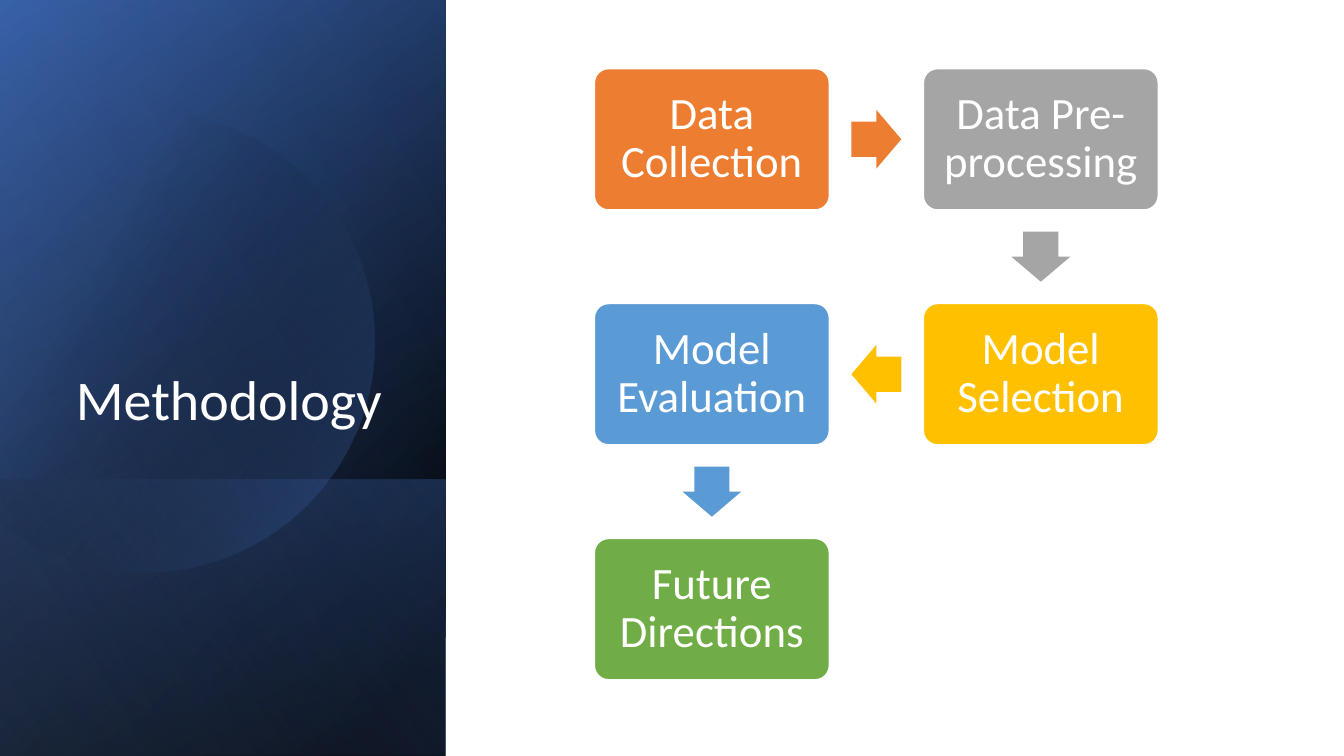
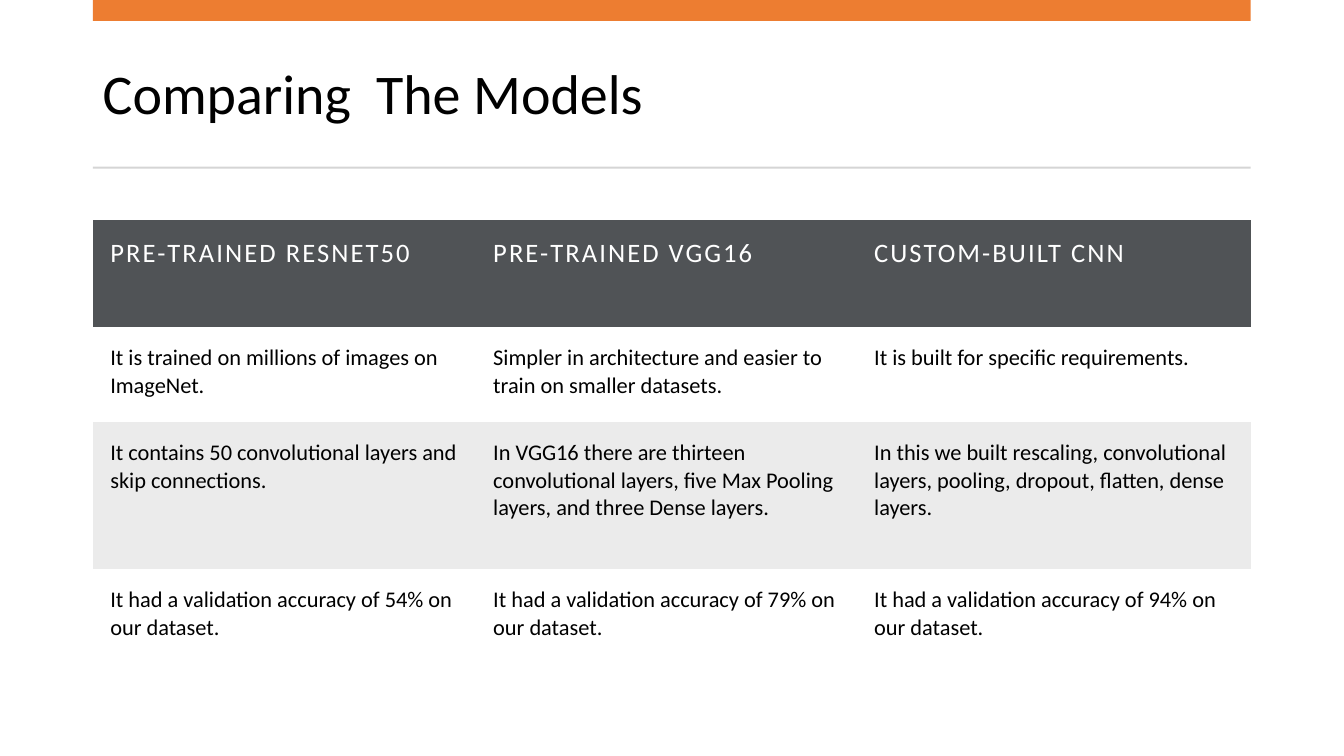
import math

from lxml import etree
from pptx import Presentation
from pptx.dml.color import RGBColor
from pptx.enum.shapes import MSO_SHAPE
from pptx.enum.text import MSO_ANCHOR, PP_ALIGN
from pptx.oxml.ns import qn
from pptx.util import Cm, Pt

RECTANGLE = MSO_SHAPE.RECTANGLE
ROUNDED = MSO_SHAPE.ROUNDED_RECTANGLE
ARROW = MSO_SHAPE.RIGHT_ARROW
LEFT, CENTER, RIGHT = PP_ALIGN.LEFT, PP_ALIGN.CENTER, PP_ALIGN.RIGHT
TOP, MIDDLE, BOTTOM = MSO_ANCHOR.TOP, MSO_ANCHOR.MIDDLE, MSO_ANCHOR.BOTTOM

FONT = "Calibri"
TITLE_SIZE = 40
PLAIN_TABLE = "{2D5ABB26-0587-4C30-8999-92F81FD0307C}"
COLORS = {
    "white": "FFFFFF",
    "black": "000000",
    "navy": "2F5597",
    "blue": "4472C4",
    "pale": "8FAADC",
    "orange": "ED7D31",
    "gray": "A5A5A5",
    "gold": "FFC000",
    "sky": "5B9BD5",
    "green": "70AD47",
    "rule": "D5D5D5",
    "header": "505356",
    "stripe": "EBEBEB",
}

SLIDE_WIDTH, SLIDE_HEIGHT = 33.87, 19.05
PANEL_WIDTH = 11.23
FOOT_HEIGHT = 6.96
PANEL_BASE = [
    (SLIDE_HEIGHT, 50, [(8, "black", 100), (100, "navy", 100)]),
    (SLIDE_HEIGHT, 30, [(0, "black", 0), (99, "blue", 46)]),
    (FOOT_HEIGHT, 130, [(2, "blue", 29), (100, "black", 30)]),
]
PANEL_GLAZE = (SLIDE_HEIGHT, 120, [(0, "black", 0), (99, "pale", 11)])
DISC = {"x": 3.63, "y": 8.61, "radius": 5.82}
DISC_STOPS = [(29, "black", 0), (100, "blue", 43)]

STEPS = [
    ("Data Collection", "orange", 0, 0),
    ("Data Pre-processing", "gray", 1, 0),
    ("Model Selection", "gold", 1, 1),
    ("Model Evaluation", "sky", 0, 1),
    ("Future Directions", "green", 0, 2),
]
FLOW_LEFT, FLOW_TOP = 14.98, 1.73
FLOW_PITCH_X, FLOW_PITCH_Y = 8.29, 5.92
STEP_WIDTH, STEP_HEIGHT = 5.92, 3.56
STEP_MARGIN = 0.25
ARROW_LENGTH, ARROW_WIDTH = 1.26, 1.48

MODELS = [
    ["PRE-TRAINED RESNET50", "PRE-TRAINED VGG16", "CUSTOM-BUILT CNN"],
    [
        "It is trained on millions of images on ImageNet.",
        "Simpler in architecture and easier to train on smaller datasets.",
        "It is built for specific requirements.",
    ],
    [
        "It contains 50 convolutional layers and skip connections.",
        "In VGG16 there are thirteen convolutional layers, five Max Pooling layers, and three Dense layers.",
        "In this we built rescaling, convolutional layers, pooling, dropout, flatten, dense layers.",
    ],
    [f"It had a validation accuracy of {score}% on our dataset." for score in (54, 79, 94)],
]
ROW_FILLS = ["header", None, "stripe", None]
COLUMN_WIDTHS = [9.65, 9.6, 9.93]
ROW_HEIGHTS = [2.69, 2.39, 3.71, 2.39]
CELL_MARGIN = 0.44
CONTENT_LEFT, CONTENT_WIDTH = 2.34, 29.18


def color(name):
    return RGBColor.from_string(COLORS[name])


def write(frame, text, size, ink="black", align=LEFT, spacing=1.0, tracking=0):
    frame.word_wrap = True
    para = frame.paragraphs[0]
    para.alignment = align
    para.line_spacing = spacing
    span = para.add_run()
    span.text = text
    span.font.name = FONT
    span.font.size = Pt(size)
    span.font.color.rgb = color(ink)
    if tracking:
        span.font._element.set("spc", str(round(tracking * 100)))


def set_margins(target, margin):
    for side in ("left", "top", "right", "bottom"):
        setattr(target, f"margin_{side}", Cm(margin))


def add_title(page, text, left, top, width, height, anchor, **style):
    box = page.shapes.add_textbox(Cm(left), Cm(top), Cm(width), Cm(height))
    box.text_frame.vertical_anchor = anchor
    write(box.text_frame, text, TITLE_SIZE, spacing=0.9, **style)


def add_block(page, kind, left, top, width, height, fill=None, line=None):
    shape = page.shapes.add_shape(kind, Cm(left), Cm(top), Cm(width), Cm(height))
    shape.shadow.inherit = False
    if fill:
        shape.fill.solid()
        shape.fill.fore_color.rgb = color(fill)
    if line:
        shape.line.color.rgb = color(line)
        shape.line.width = Pt(1)
    else:
        shape.line.fill.background()
    return shape


def set_gradient(shape, angle, stops):
    shape.fill.background()
    gradient = etree.Element(qn("a:gradFill"), rotWithShape="1")
    stop_list = etree.SubElement(gradient, qn("a:gsLst"))
    for position, name, opacity in stops:
        stop = etree.SubElement(stop_list, qn("a:gs"), pos=str(position * 1000))
        tint = etree.SubElement(stop, qn("a:srgbClr"), val=COLORS[name])
        if opacity < 100:
            etree.SubElement(tint, qn("a:alpha"), val=str(opacity * 1000))
    etree.SubElement(gradient, qn("a:lin"), ang=str(angle * 60000), scaled="0")
    properties = shape._element.spPr
    properties.replace(properties.find(qn("a:noFill")), gradient)


def add_panel_layer(page, height, angle, stops):
    left = (PANEL_WIDTH - height) / 2
    top = SLIDE_HEIGHT - (height + PANEL_WIDTH) / 2
    layer = add_block(page, RECTANGLE, left, top, height, PANEL_WIDTH)
    layer.rotation = 90
    layer._element.spPr.find(qn("a:xfrm")).set("flipH", "1")
    set_gradient(layer, angle, stops)


def add_disc(page):
    reach = math.acos(-DISC["x"] / DISC["radius"])
    angles = [reach * (step / 60 - 1) for step in range(121)]
    points = [
        (
            Cm(DISC["x"] + DISC["radius"] * math.cos(angle)),
            Cm(DISC["y"] + DISC["radius"] * math.sin(angle)),
        )
        for angle in angles
    ]
    builder = page.shapes.build_freeform(*points[0])
    builder.add_line_segments(points[1:], close=True)
    disc = builder.convert_to_shape()
    disc.shadow.inherit = False
    disc.line.fill.background()
    set_gradient(disc, 30, DISC_STOPS)


def add_step(page, text, fill, column, row):
    left = FLOW_LEFT + column * FLOW_PITCH_X
    top = FLOW_TOP + row * FLOW_PITCH_Y
    step = add_block(page, ROUNDED, left, top, STEP_WIDTH, STEP_HEIGHT, fill, "white")
    step.adjustments[0] = 0.1
    frame = step.text_frame
    frame.vertical_anchor = MIDDLE
    set_margins(frame, STEP_MARGIN)
    write(frame, text, 32, ink="white", align=CENTER, spacing=0.9)


def add_step_arrow(page, fill, start, end):
    center_x = FLOW_LEFT + (start[0] + end[0]) / 2 * FLOW_PITCH_X + STEP_WIDTH / 2
    center_y = FLOW_TOP + (start[1] + end[1]) / 2 * FLOW_PITCH_Y + STEP_HEIGHT / 2
    arrow = add_block(
        page, ARROW, center_x - ARROW_LENGTH / 2, center_y - ARROW_WIDTH / 2,
        ARROW_LENGTH, ARROW_WIDTH, fill,
    )
    arrow.adjustments[0] = 0.6
    arrow.adjustments[1] = 0.5
    arrow.rotation = math.degrees(math.atan2(end[1] - start[1], end[0] - start[0]))


def build_methodology(page):
    for layer in PANEL_BASE:
        add_panel_layer(page, *layer)
    add_disc(page)
    add_panel_layer(page, *PANEL_GLAZE)
    add_title(page, "Methodology ", 1.3, 1.63, 8.89, 9.4, BOTTOM, ink="white", align=RIGHT)
    for step in STEPS:
        add_step(page, *step)
    for current, following in zip(STEPS, STEPS[1:]):
        add_step_arrow(page, current[1], current[2:], following[2:])


def add_model_table(page):
    frame = page.shapes.add_table(
        len(MODELS), len(COLUMN_WIDTHS), Cm(CONTENT_LEFT), Cm(5.55),
        Cm(CONTENT_WIDTH), Cm(sum(ROW_HEIGHTS)),
    )
    table = frame.table
    table.first_row = table.horz_banding = False
    table._tbl.tblPr.find(qn("a:tableStyleId")).text = PLAIN_TABLE
    for column, width in zip(table.columns, COLUMN_WIDTHS):
        column.width = Cm(width)
    for row, height, texts, fill in zip(table.rows, ROW_HEIGHTS, MODELS, ROW_FILLS):
        row.height = Cm(height)
        is_header = fill == "header"
        style = {"size": 19, "ink": "white", "tracking": 1.5} if is_header else {"size": 16}
        for cell, text in zip(row.cells, texts):
            set_margins(cell, CELL_MARGIN)
            cell.vertical_anchor = TOP
            if fill:
                cell.fill.solid()
                cell.fill.fore_color.rgb = color(fill)
            else:
                cell.fill.background()
            write(cell.text_frame, text, **style)


def build_comparison(page):
    add_title(page, "Comparing  The Models", CONTENT_LEFT, 0.94, CONTENT_WIDTH, 3, MIDDLE)
    for top, height, fill in [(0, 0.53, "orange"), (4.2, 0.05, "rule")]:
        add_block(page, RECTANGLE, CONTENT_LEFT, top, CONTENT_WIDTH, height, fill)
    add_model_table(page)


def main():
    deck = Presentation()
    deck.slide_width, deck.slide_height = Cm(SLIDE_WIDTH), Cm(SLIDE_HEIGHT)
    for build in (build_methodology, build_comparison):
        build(deck.slides.add_slide(deck.slide_layouts[6]))
    deck.save("out.pptx")


if __name__ == "__main__":
    main()
